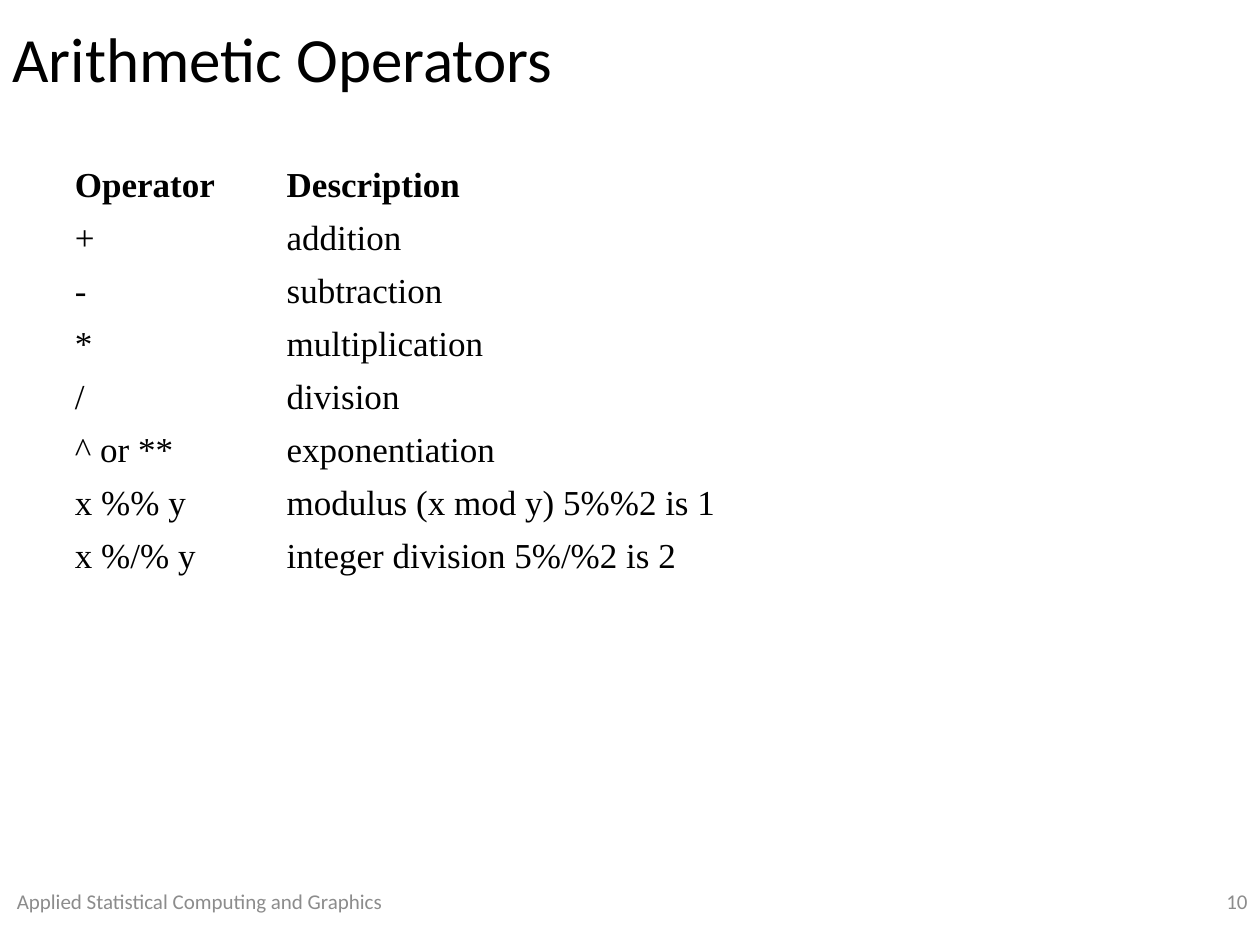
"""Build a slide that lists the arithmetic operators in a table."""
from pptx import Presentation
from pptx.dml.color import RGBColor
from pptx.enum.text import MSO_ANCHOR as Anchor, PP_ALIGN as Align
from pptx.util import Cm, Pt

COLORS = {"text": "000000", "footer": "8C8C8C", "cell": "FFFFFF"}
TEXTS = [
    ("Arithmetic Operators", (0, 0.03, 25.4, 2.24), 36, "text", Align.LEFT),
    ("Applied Statistical Computing and Graphics", (0, 17.65, 8.05, 1.02), 12, "footer", Align.CENTER),
    ("10", (19.48, 17.65, 5.92, 1.02), 12, "footer", Align.RIGHT),
]
OPERATORS = [
    ("Operator", "Description"),
    ("+", "addition"),
    ("-", "subtraction"),
    ("*", "multiplication"),
    ("/", "division"),
    ("^ or **", "exponentiation"),
    ("x %% y", "modulus (x mod y) 5%%2 is 1"),
    ("x %/% y", "integer division 5%/%2 is 2"),
]
COLUMN_WIDTHS = (4.27, 11.5)
ROW_HEIGHT = 1.04
TABLE_LEFT, TABLE_TOP = 1.27, 3.25


def write(frame, text, size, font_name, color, align=Align.LEFT, bold=False):
    paragraph = frame.paragraphs[0]
    paragraph.alignment = align
    run = paragraph.add_run()
    run.text = text
    run.font.size = Pt(size)
    run.font.name = font_name
    run.font.bold = bold
    run.font.color.rgb = RGBColor.from_string(COLORS[color])


def add_text(slide, text, box, size, color, align):
    frame = slide.shapes.add_textbox(*map(Cm, box)).text_frame
    frame.word_wrap = True
    frame.vertical_anchor = Anchor.MIDDLE
    write(frame, text, size, "Calibri", color, align)


def add_operator_table(slide):
    table = slide.shapes.add_table(
        len(OPERATORS), len(COLUMN_WIDTHS), Cm(TABLE_LEFT), Cm(TABLE_TOP),
        Cm(sum(COLUMN_WIDTHS)), Cm(ROW_HEIGHT * len(OPERATORS))).table
    table.first_row = table.horz_banding = False
    for column, width in zip(table.columns, COLUMN_WIDTHS):
        column.width = Cm(width)
    for row_index, (row, texts) in enumerate(zip(table.rows, OPERATORS)):
        row.height = Cm(ROW_HEIGHT)
        for cell, text in zip(row.cells, texts):
            cell.fill.solid()
            cell.fill.fore_color.rgb = RGBColor.from_string(COLORS["cell"])
            cell.margin_left = cell.margin_right = Cm(0.24)
            cell.margin_top = cell.margin_bottom = Cm(0.11)
            write(cell.text_frame, text, 20, "Times New Roman", "text", bold=row_index == 0)


def main():
    presentation = Presentation()
    presentation.slide_width, presentation.slide_height = Cm(25.4), Cm(19.05)
    slide = presentation.slides.add_slide(presentation.slide_layouts[6])
    for item in TEXTS:
        add_text(slide, *item)
    add_operator_table(slide)
    presentation.save("out.pptx")


if __name__ == "__main__":
    main()
